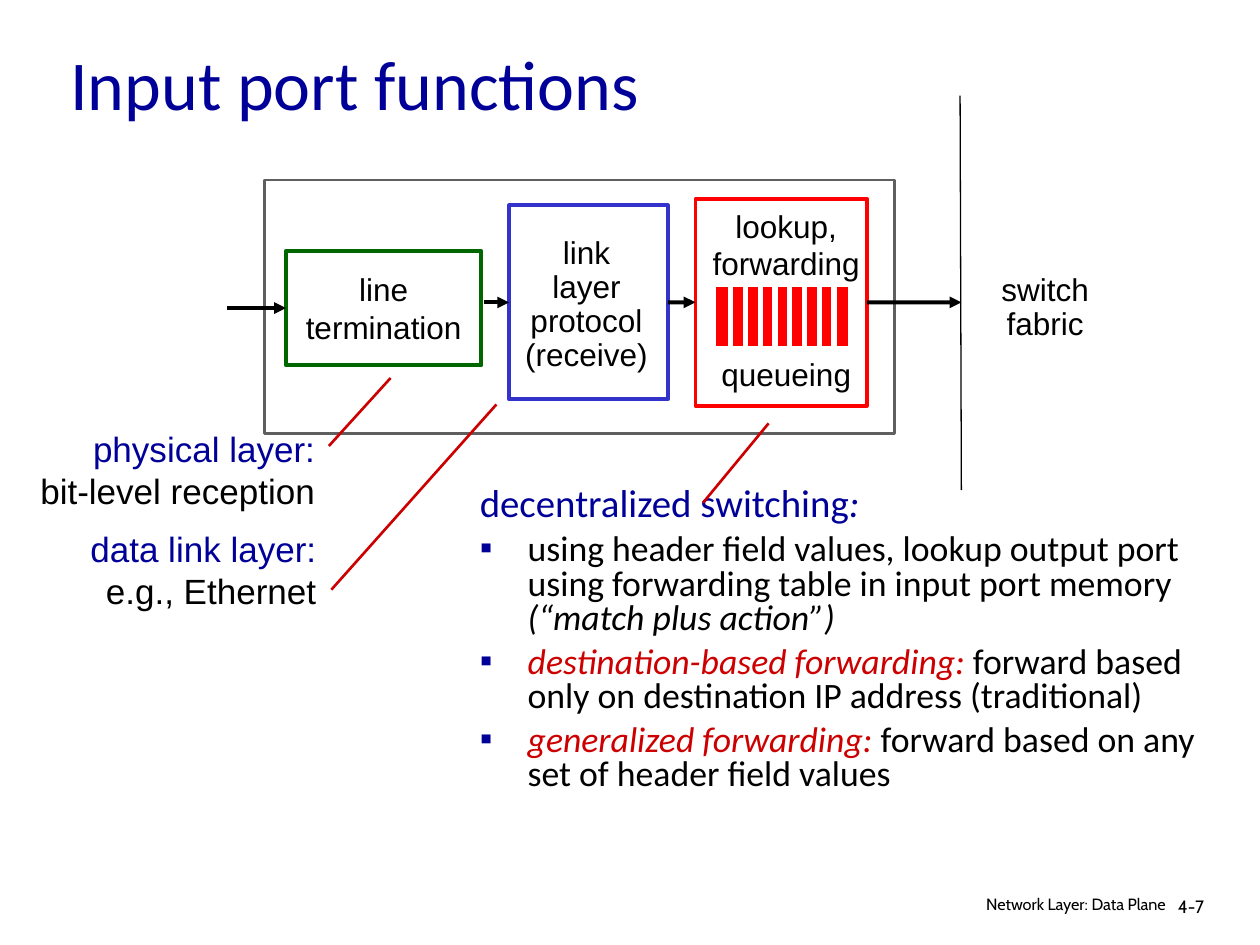
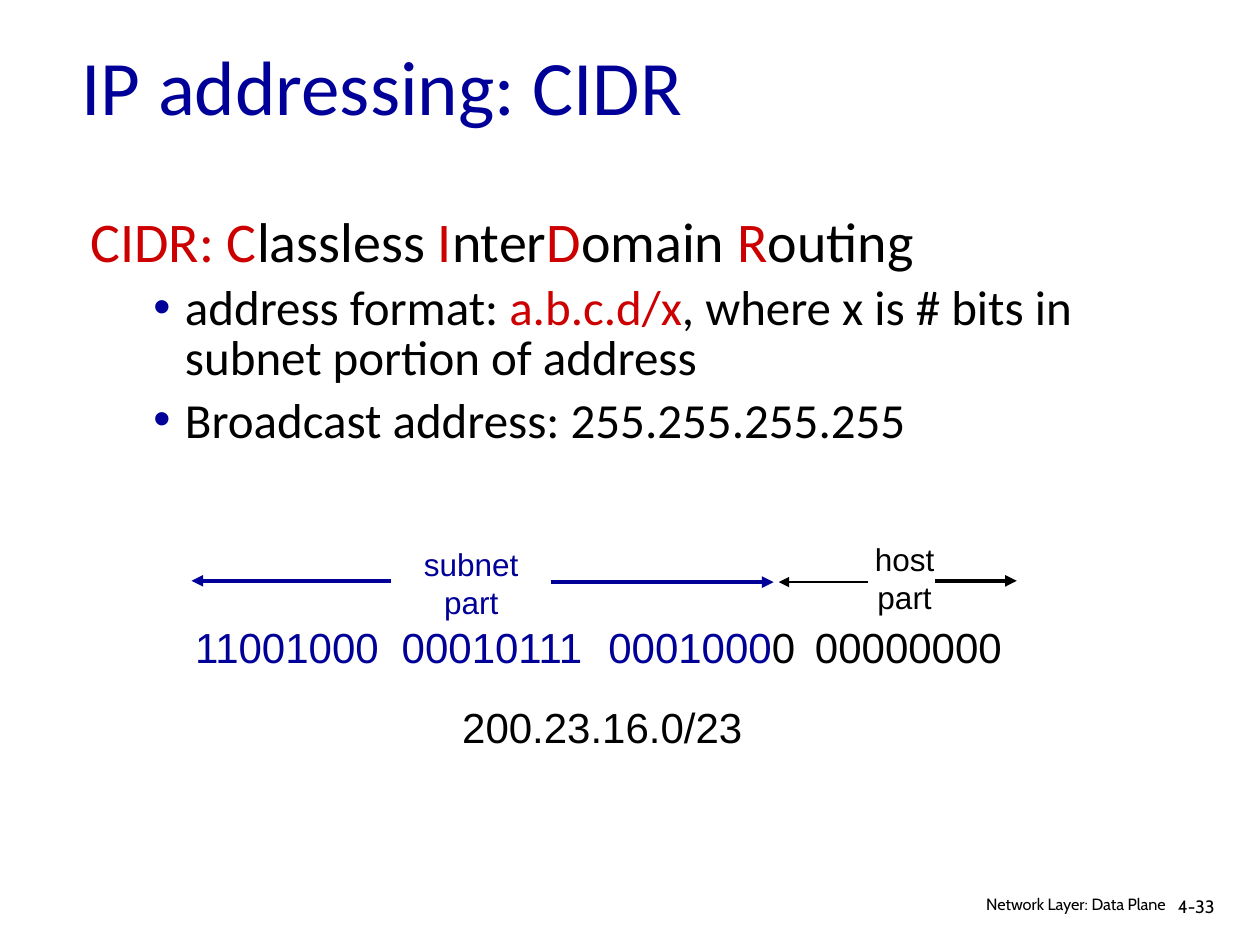
from lxml import etree
from pptx import Presentation
from pptx.dml.color import RGBColor
from pptx.enum.shapes import MSO_CONNECTOR, MSO_SHAPE
from pptx.enum.text import MSO_ANCHOR, PP_ALIGN
from pptx.oxml.ns import qn
from pptx.util import Inches, Pt

LEFT, CENTER, RIGHT = PP_ALIGN.LEFT, PP_ALIGN.CENTER, PP_ALIGN.RIGHT
TOP, MIDDLE = MSO_ANCHOR.TOP, MSO_ANCHOR.MIDDLE
RECT = MSO_SHAPE.RECTANGLE
STRAIGHT = MSO_CONNECTOR.STRAIGHT
SIDE_LEFT, SIDE_RIGHT = 1, 3

COLORS = {
    "white": "FFFFFF",
    "black": "000000",
    "navy": "000099",
    "blue": "3333CC",
    "green": "006600",
    "gray": "5F5F5F",
    "red": "FF0000",
    "crimson": "CC0000",
}
WIDTH, HEIGHT = Inches(10), Inches(7.5)
COLS, ROWS = 100, 75
COL, ROW = WIDTH / COLS, HEIGHT / ROWS


def rgb(name):
    return RGBColor.from_string(COLORS[name])


def within(box, x, y, w, h):
    return box[0] + x, box[1] + y, w, h


def emu(box):
    x, y, w, h = box
    return int(x * COL), int(y * ROW), int(w * COL), int(h * ROW)


def add_runs(p, para, size, font, color):
    for words, *style in [(para,)] if isinstance(para, str) else para:
        r = p.add_run()
        r.text = words
        r.font.size = Pt(size)
        r.font.name = font
        r.font.color.rgb = rgb(style[0] if style else color)
        r.font.italic = "italic" in style


def fill_text(tf, paras, size, font="Arial", color="black", align=LEFT,
              anchor=TOP, spacing=1.0, wrap=False):
    tf.word_wrap = wrap
    tf.vertical_anchor = anchor
    for i, para in enumerate(paras):
        p = tf.add_paragraph() if i else tf.paragraphs[0]
        p.alignment = align
        p.line_spacing = spacing
        add_runs(p, para, size, font, color)
    return tf


def add_text(s, box, paras, size, **style):
    return fill_text(s.shapes.add_textbox(*emu(box)).text_frame, paras, size, **style)


def add_rect(s, box, fill="white", line=None, width=2.25):
    sp = s.shapes.add_shape(RECT, *emu(box))
    sp.shadow.inherit = False
    sp.fill.solid()
    sp.fill.fore_color.rgb = rgb(fill)
    if line:
        sp.line.color.rgb = rgb(line)
        sp.line.width = Pt(width)
    else:
        sp.line.fill.background()
    return sp


def add_line(s, box, start, end, color="black", width=2.25, arrow=False):
    x, y = box[:2]
    ends = [int(v) for a, b in (start, end) for v in ((x + a) * COL, (y + b) * ROW)]
    cx = s.shapes.add_connector(STRAIGHT, *ends)
    cx.line.color.rgb = rgb(color)
    cx.line.width = Pt(width)
    spPr = cx._element.spPr
    if arrow:
        etree.SubElement(spPr.find(qn("a:ln")), qn("a:tailEnd"), type="triangle")
    etree.SubElement(spPr, qn("a:effectLst"))
    return cx


def add_bullet(p, char, left, hang):
    pPr = p._p.get_or_add_pPr()
    pPr.set("marL", str(int(left * COL)))
    pPr.set("indent", str(int(-hang * COL)))
    color = etree.SubElement(pPr, qn("a:buClr"))
    etree.SubElement(color, qn("a:srgbClr"), val=COLORS["navy"])
    etree.SubElement(pPr, qn("a:buFont"), typeface="Arial")
    etree.SubElement(pPr, qn("a:buChar"), char=char)


def add_tabs(p, stops):
    tabs = etree.SubElement(p._p.get_or_add_pPr(), qn("a:tabLst"))
    for stop in stops:
        etree.SubElement(tabs, qn("a:tab"), pos=str(int(stop * COL)), algn="l")


def title(s, box, text, size):
    add_text(s, box, [text], size, font="Calibri", color="navy",
             anchor=MIDDLE, wrap=True)


def footer(s, box, number):
    add_text(s, within(box, 22.8, 0, 6.1, 3), [number], 10.2,
             font="Cabin", spacing=0.9, wrap=True)
    add_text(s, within(box, 0, 0, 23.8, 2.6), ["Network Layer: Data Plane"], 9.3,
             font="Cabin", align=RIGHT, spacing=0.8, wrap=True)


def bullet_list(s, box, lead, items, sizes, char, left, hang, spacing, gap, level=0):
    lead_size, item_size = sizes
    tf = add_text(s, box, [lead], lead_size, font="Calibri", color="navy",
                  spacing=spacing, wrap=True)
    for item in items:
        p = tf.add_paragraph()
        p.level = level
        add_bullet(p, char, left, hang)
        p.line_spacing = spacing
        p.space_before = Pt(gap)
        add_runs(p, item, item_size, "Calibri", "black")


def queue(s, box):
    grp = s.shapes.add_group_shape()
    add_rect(grp, box, "red", "white", 3)
    for i in range(8):
        x = 1.4 + 1.17 * i
        add_line(grp, box, (x, 0), (x, 4.9), "white", 3)


def input_port(s, box):
    add_rect(s, box, line="gray", width=1.5)
    termination = add_rect(s, within(box, 1.7, 5.6, 15.5, 9.1), line="green")
    protocol = add_rect(s, within(box, 19.4, 2, 12.6, 15.4), line="blue")
    lookup = add_rect(s, within(box, 34.2, 1.5, 13.6, 16.4), line="red")
    fill_text(termination.text_frame, ["line", "termination"], 18,
              align=CENTER, anchor=MIDDLE)

    flows = [
        ((-3, 10.15), (1.7, 10.15), None, termination),
        ((17.4, 9.7), (19.4, 9.7), None, protocol),
        ((32, 9.7), (34.2, 9.7), protocol, lookup),
        ((47.8, 9.7), (55.3, 9.7), lookup, None),
    ]
    for start, end, source, target in flows:
        cx = add_line(s, box, start, end, arrow=True)
        if source:
            cx.begin_connect(source, SIDE_RIGHT)
        if target:
            cx.end_connect(target, SIDE_LEFT)

    plate(s, within(box, 19.8, 5.4, 11.5, 9.1),
          ["link", "layer", "protocol", "(receive)"])
    tf = add_text(s, within(box, 33.9, 1.6, 15, 16),
                  ["lookup,", "forwarding", "queueing"], 18, align=CENTER)
    tf.paragraphs[2].space_before = Pt(41.4)
    queue(s, within(box, 35.6, 8.3, 10.9, 5.1))


def plate(s, box, lines):
    fill_text(add_rect(s, box).text_frame, lines, 18,
              align=CENTER, anchor=MIDDLE, spacing=0.9)


def switch_fabric(s, box):
    add_line(s, box, (0, 0), (0.1, 31.3), width=0.75)
    plate(s, within(box, 1, 12.3, 11.5, 9.1), ["switch", "fabric"])


def layer_note(s, box, name, detail, start, end):
    add_text(s, box, [[(name, "navy")], detail], 20, align=RIGHT)
    add_line(s, box, start, end, "crimson", 1.5)


def switching_notes(s, box):
    bullet_list(
        s, box,
        [("decentralized switching",), (":", "navy", "italic")],
        [
            [("using header field values, lookup output port using forwarding "
              "table in input port memory ",),
             ("(“match plus action”)", "black", "italic")],
            [("destination-based forwarding: ", "crimson", "italic"),
             ("forward based only on destination IP address (traditional)",)],
            [("generalized forwarding: ", "crimson", "italic"),
             ("forward based on any set of header field values",)],
        ],
        (22.2, 20.4), "▪", 3.8, 3.8, 0.8, 5.5)
    add_line(s, box, (18.7, 1.7), (23.9, -4.6), "crimson", 1.5)


def cidr_notes(s, box):
    lead = [("CIDR: C", "crimson"), ("lassless ", "black"),
            ("I", "crimson"), ("nter", "black"),
            ("D", "crimson"), ("omain ", "black"),
            ("R", "crimson"), ("outing", "black")]
    items = [
        [("address format: ",), ("a.b.c.d/x", "crimson"),
         (", where x is # bits in subnet portion of address",)],
        "Broadcast address: 255.255.255.255",
    ]
    bullet_list(s, box, lead, items, (32, 28), "•", 7.5, 2.5, 0.85, 7, level=1)


def address_bar(s, box):
    tf = add_text(s, within(box, 0, 6.4, 68, 5),
                  [[("11001000\t00010111\t0001000", "navy"), ("0\t00000000",)]],
                  24, wrap=True)
    add_tabs(tf.paragraphs[0], [16.4 * i for i in (1, 2, 3)])
    add_text(s, within(box, 17.4, 0.4, 11, 7), ["subnet", "part"], 18,
             color="navy", align=CENTER)
    add_text(s, within(box, 53.3, 0, 8, 7), ["host", "part"], 18, align=CENTER)
    spans = [
        (16.5, 0.7, 3.7, "navy", 2.25),
        (29.2, 46.9, 3.8, "navy", 2.25),
        (54.4, 47.3, 3.8, "black", 1.5),
        (59.7, 66.2, 3.7, "black", 2.25),
    ]
    for x1, x2, y, color, width in spans:
        add_line(s, box, (x1, y), (x2, y), color, width, arrow=True)
    add_text(s, within(box, 21.2, 12.8, 26, 5), ["200.23.16.0/23"], 24, wrap=True)


def new_slide(prs, number):
    s = prs.slides.add_slide(prs.slide_layouts[6])
    footer(s, (69.7, 70.8, 28.9, 3), number)
    return s


def main():
    prs = Presentation()
    prs.slide_width, prs.slide_height = WIDTH, HEIGHT

    s = new_slide(prs, "4-7")
    input_port(s, (21, 14.3, 50, 20.1))
    title(s, (4.6, 3.2, 85, 6.7), "Input port functions", 40)
    switching_notes(s, (37.1, 38.2, 59.7, 29.2))
    layer_note(s, (1.2, 33.4, 24.8, 7.7), "physical layer:",
               "bit-level reception", (24.9, 2), (29.8, -3.4))
    layer_note(s, (4.2, 41.4, 21.9, 7.7), "data link layer:",
               "e.g., Ethernet", (22.1, 5.4), (35.2, -9.3))
    switch_fabric(s, (76.2, 7.6, 12.5, 31.3))

    s = new_slide(prs, "4-33")
    title(s, (5.5, 2.1, 85, 9.3), "IP addressing: CIDR", 44)
    cidr_notes(s, (6.2, 16.7, 88.7, 34.7))
    address_bar(s, (14.5, 42.4, 68, 17.8))

    prs.save("out.pptx")


if __name__ == "__main__":
    main()
